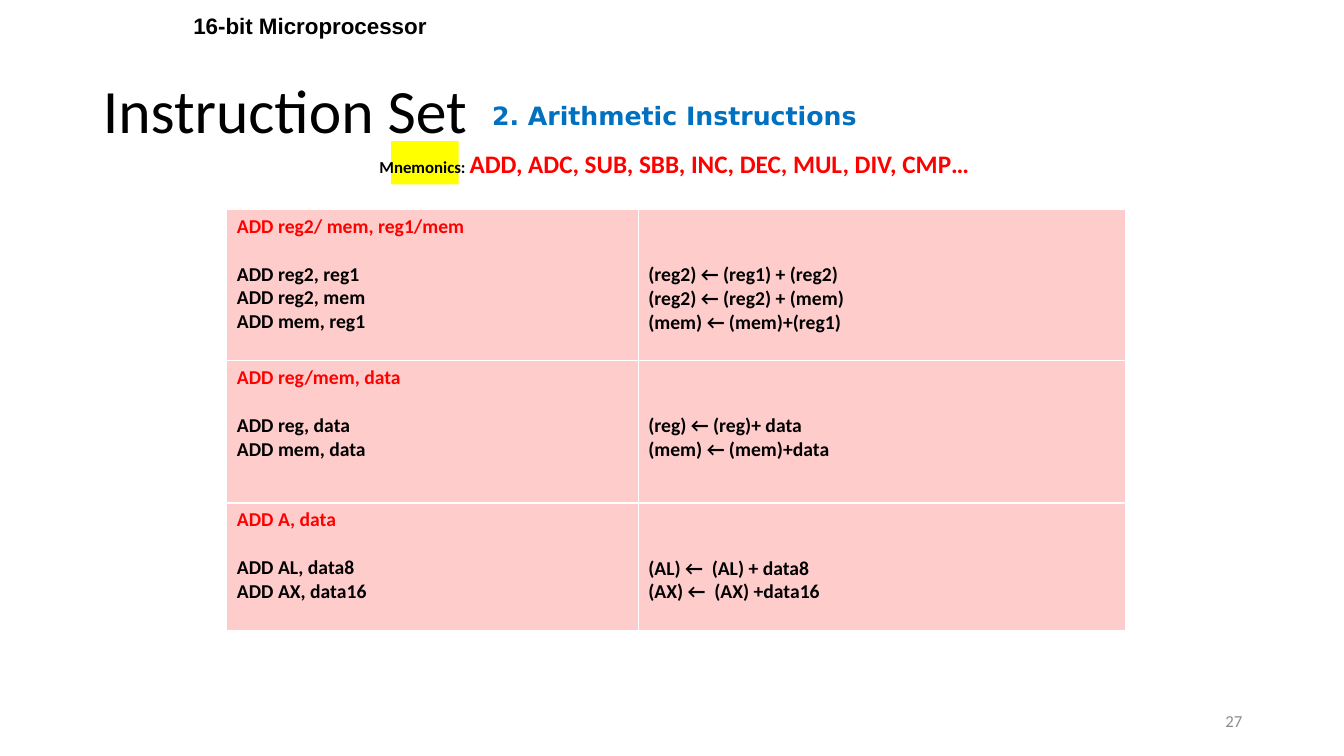
from lxml.etree import SubElement
from pptx import Presentation
from pptx.dml.color import RGBColor
from pptx.enum.shapes import MSO_SHAPE
from pptx.enum.text import MSO_ANCHOR, MSO_AUTO_SIZE, PP_ALIGN
from pptx.oxml.ns import qn
from pptx.util import Emu, Pt

COLORS = {
    "black": "000000", "red": "FF0000", "blue": "0070C0", "gray": "8C8C8C",
    "yellow": "FFFF00", "pink": "FFCCCC", "white": "FFFFFF",
}
SCALE = 9144
BLANK_LINE = 17


def px(*lengths):
    return [Emu(length * SCALE) for length in lengths]


def style(font, name, size, color, bold=False):
    font.name = name
    font.size = Pt(size)
    font.bold = bold
    font.color.rgb = RGBColor.from_string(COLORS[color])


deck = Presentation()
deck.slide_width, deck.slide_height = px(1333, 750)
page = deck.slides.add_slide(deck.slide_layouts[5])

highlight = page.shapes.add_shape(MSO_SHAPE.RECTANGLE, *px(388, 140, 67, 43))
highlight.shadow.inherit = False
highlight.fill.solid()
highlight.fill.fore_color.rgb = RGBColor.from_string(COLORS["yellow"])
highlight.line.fill.background()

title = page.shapes.title
title.left, title.top, title.width, title.height = px(92, 40, 1150, 145)
title.text_frame.text = "Instruction Set"
title.text_frame.auto_size = MSO_AUTO_SIZE.NONE
title.text_frame.vertical_anchor = MSO_ANCHOR.MIDDLE
para = title.text_frame.paragraphs[0]
para.alignment = PP_ALIGN.LEFT
para.line_spacing = 0.9
style(para.font, "Calibri", 44, "black")

labels = [
    ((196, 93, 946, 43), "2. Arithmetic Instructions", "DejaVu Sans", 18, "blue", True,
     PP_ALIGN.CENTER, MSO_ANCHOR.MIDDLE),
    ((942, 695, 300, 40), "27", "Calibri", 12, "gray", False,
     PP_ALIGN.RIGHT, MSO_ANCHOR.MIDDLE),
    ((174, 7, 267, 37), "16-bit Microprocessor", "Arial", 16, "black", True,
     PP_ALIGN.CENTER, MSO_ANCHOR.TOP),
]
for place, text, name, size, color, bold, align, anchor in labels:
    box = page.shapes.add_textbox(*px(*place))
    box.text_frame.word_wrap = True
    box.text_frame.vertical_anchor = anchor
    para = box.text_frame.paragraphs[0]
    para.text = text
    para.alignment = align
    style(para.font, name, size, color, bold)

mnemonics = page.shapes.add_textbox(*px(196, 142, 946, 40))
mnemonics.text_frame.word_wrap = True
para = mnemonics.text_frame.paragraphs[0]
para.alignment = PP_ALIGN.CENTER
for text, size, color in [
    ("Mnemonics: ", 12, "black"),
    ("ADD, ADC, SUB, SBB, INC, DEC, MUL, DIV, CMP…", 18, "red"),
]:
    span = para.add_run()
    span.text = text
    style(span.font, "Calibri", size, color, True)

instructions = [
    (150, "ADD reg2/ mem, reg1/mem",
     ["ADD reg2, reg1", "ADD reg2, mem", "ADD mem, reg1"],
     ["(reg2) ← (reg1) + (reg2)", "(reg2) ← (reg2) + (mem)", "(mem) ← (mem)+(reg1)"]),
    (141, "ADD reg/mem, data",
     ["ADD reg, data", "ADD mem, data"],
     ["(reg) ← (reg)+ data", "(mem) ← (mem)+data"]),
    (127, "ADD A, data",
     ["ADD AL, data8", "ADD AX, data16"],
     ["(AL) ←  (AL) + data8", "(AX) ←  (AX) +data16"]),
]
table = page.shapes.add_table(len(instructions), 2, *px(225, 208, 891, 418)).table
table.first_row = False
table.horz_banding = False
table.columns[0].width, table.columns[1].width = px(408, 483)

for row, (height, heading, forms, effects) in enumerate(instructions):
    table.rows[row].height = px(height)[0]
    for column, lines in enumerate([[heading, *forms], effects]):
        cell = table.cell(row, column)
        properties = cell._tc.get_or_add_tcPr()
        for side in ("lnL", "lnR", "lnT", "lnB"):
            border = SubElement(properties, qn(f"a:{side}"), w=str(Pt(1)))
            paint = SubElement(border, qn("a:solidFill"))
            SubElement(paint, qn("a:srgbClr"), val=COLORS["white"])
        cell.fill.solid()
        cell.fill.fore_color.rgb = RGBColor.from_string(COLORS["pink"])
        cell.margin_top = px(53 if column else 5)[0]
        cell.text_frame.text = "\n".join(lines)
        for index, para in enumerate(cell.text_frame.paragraphs):
            is_heading = column == 0 and index == 0
            style(para.font, "Calibri", 14, "red" if is_heading else "black", True)
            if column == 0 and index == 1:
                para.space_before = Pt(BLANK_LINE)

deck.save("out.pptx")
